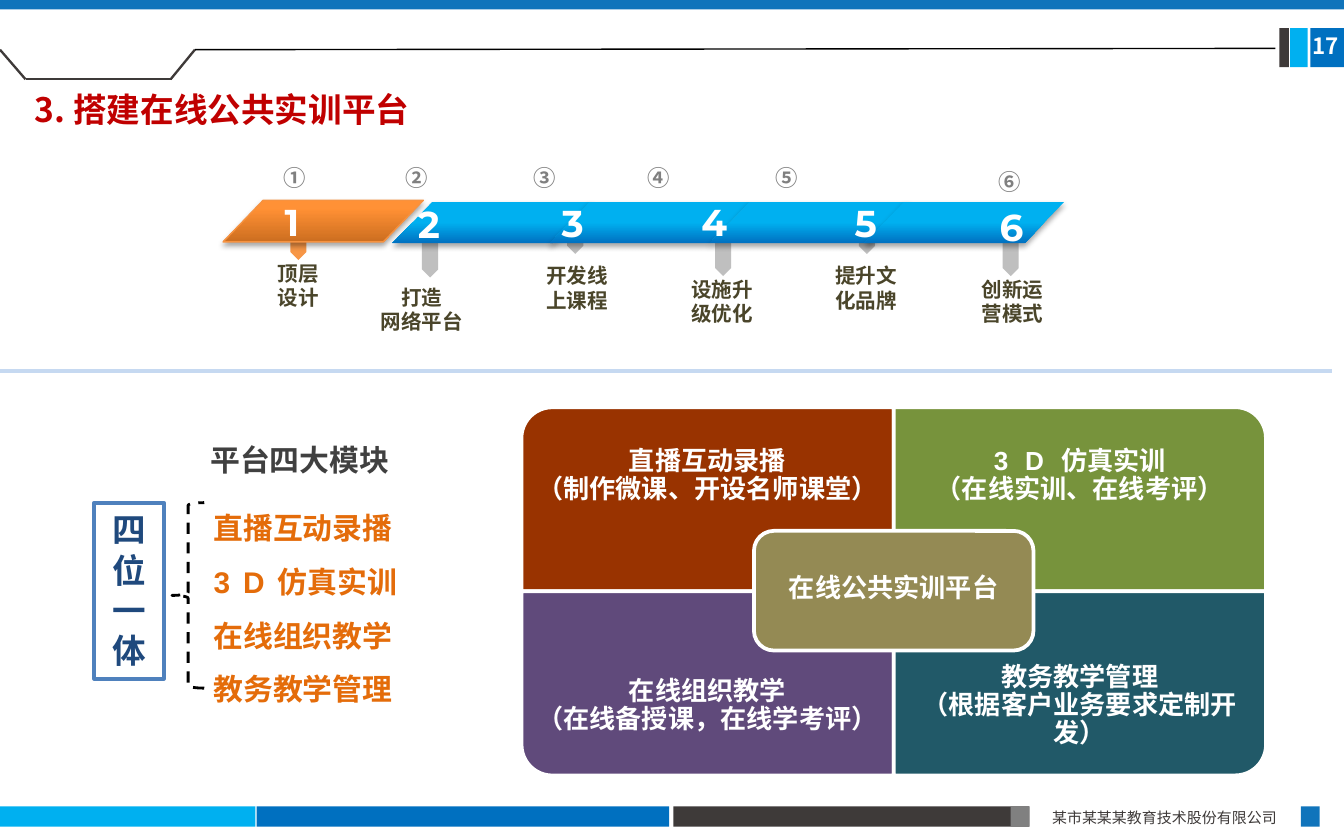
from pptx import Presentation
from pptx.dml.color import RGBColor
from pptx.enum import dml, shapes, text
from pptx.oxml import parse_xml
from pptx.oxml.ns import nsdecls, qn
from pptx.util import Inches, Pt

SHAPE = shapes.MSO_SHAPE
ALIGN = text.PP_ALIGN
CJK = "Noto Sans CJK SC"
ORANGE_BAR = [(0, "FF9136"), (20, "FF9034"), (100, "CC6E20")]
BLUE_BAR = [(0, "00B0F0"), (50, "00B0F0"), (100, "0070C0")]
THREE_D = [("3D", 9), ("仿真实训", 0)]


def color(value):
    """Return a colour from a hex string."""
    return RGBColor.from_string(value)


def inches(*values):
    """Return the values as lengths."""
    return [Inches(v) for v in values]


def add_box(slide, kind, at, fill=None, line=None, width=1, rotation=0):
    """Add a preset shape with a plain fill and line."""
    s = slide.shapes.add_shape(kind, *inches(*at))
    s.shadow.inherit = False
    s.rotation = rotation
    if fill:
        s.fill.solid()
        s.fill.fore_color.rgb = color(fill)
    else:
        s.fill.background()
    if line:
        s.line.color.rgb = color(line)
        s.line.width = Pt(width)
    else:
        s.line.fill.background()
    return s


def add_line(slide, start, end, stroke, width):
    """Add a straight line without a shadow."""
    c = slide.shapes.add_connector(
        shapes.MSO_CONNECTOR.STRAIGHT, *inches(*start, *end))
    c.line.color.rgb = color(stroke)
    c.line.width = Pt(width)
    c._element.spPr.append(parse_xml(f"<a:effectLst {nsdecls('a')}/>"))


def write(s, paragraphs, size, fill, font=CJK, bold=True, align=ALIGN.LEFT,
          spacing=None, inset=(0.1, 0.05), anchor=text.MSO_ANCHOR.TOP):
    """Fill a shape with paragraphs given as strings or lists of runs."""
    tf = s.text_frame
    tf.word_wrap = True
    tf.auto_size = text.MSO_AUTO_SIZE.NONE
    tf.vertical_anchor = anchor
    tf.margin_left = tf.margin_right = Inches(inset[0])
    tf.margin_top = tf.margin_bottom = Inches(inset[1])
    for i, runs in enumerate(paragraphs):
        p = tf.add_paragraph() if i else tf.paragraphs[0]
        p.alignment = align
        if spacing:
            p.line_spacing = spacing
        for words, gap in [(runs, 0)] if isinstance(runs, str) else runs:
            r = p.add_run()
            r.text = words
            r.font.size = Pt(size)
            r.font.bold = bold
            r.font.color.rgb = color(fill)
            r.font.name = font
            props = r.font._element
            props.find(qn("a:latin")).addnext(
                parse_xml(f'<a:ea {nsdecls("a")} typeface="{CJK}"/>'))
            if gap:
                props.set("spc", str(gap * 100))


def add_text(slide, at, paragraphs, size, fill, **style):
    """Add a text box."""
    write(slide.shapes.add_textbox(*inches(*at)), paragraphs, size, fill, **style)


def add_bar(slide, left, top, stops, line=None):
    """Add a slanted step bar with a gradient and a soft shadow."""
    s = add_box(slide, SHAPE.FLOWCHART_DATA, (left, top, 1.49, 0.31), line=line, width=0.75)
    s.fill.gradient()
    s.fill.gradient_angle = 270
    stop_list = s._element.spPr.find(qn("a:gradFill")).find(qn("a:gsLst"))
    for old in list(stop_list):
        stop_list.remove(old)
    for place, value in stops:
        stop_list.append(parse_xml(
            f'<a:gs {nsdecls("a")} pos="{place * 1000}"><a:srgbClr val="{value}"/></a:gs>'))
    s._element.spPr.find(qn("a:effectLst")).append(parse_xml(
        f'<a:outerShdw {nsdecls("a")} blurRad="{Pt(3.1)}" dist="{Pt(1.8)}" dir="5400000" '
        'rotWithShape="0"><a:srgbClr val="000000"><a:alpha val="35000"/></a:srgbClr>'
        '</a:outerShdw>'))


def add_frame(slide):
    """Add the header, the page number and the footer."""
    for at, fill in [
            ((0, 6, 1.9, 0.15), "00B0F0"), ((1.91, 6, 3.07, 0.15), "0070C0"),
            ((5.01, 6, 2.65, 0.15), "3E3A39"), ((7.52, 6, 0.14, 0.15), "808080"),
            ((9.68, 6, 0.14, 0.15), "1074BB"), ((9.75, 0.21, 0.26, 0.29), "0070C0"),
            ((9.6, 0.21, 0.13, 0.29), "00B0F0"), ((9.52, 0.21, 0.07, 0.29), "3E3A39"),
            ((0, 0, 10, 0.07), "1074BB")]:
        add_box(slide, SHAPE.RECTANGLE, at, fill)
    tab = [(0, 0.37), (0.19, 0.59), (1.27, 0.59), (1.45, 0.37)]
    for start, end in zip(tab, tab[1:]):
        add_line(slide, start, end, "3E3A39", 1.25)
    add_line(slide, tab[-1], (9.49, 0.36), "000000", 0.75)
    add_line(slide, (0, 2.76), (9.91, 2.76), "C6D9F1", 2.25)
    add_text(slide, (7.73, 5.97, 1.94, 0.24), ["某市某某某教育技术股份有限公司"], 8,
             "3E3A39", bold=False)
    add_text(slide, (9.67, 0.19, 0.5, 0.3), ["17"], 12, "FFFFFF")


def add_title(slide, words):
    """Place and format the title."""
    title = slide.shapes.title
    title.left, title.top, title.width, title.height = inches(0.16, 0.61, 3.06, 0.4)
    write(title, [words], 18, "C00000")


def add_steps(slide):
    """Add the six steps with their bars, pointers, numbers and labels."""
    steps = [
        ("①", 2.19, 1.17, 2.02, 1.43, 2.22, 1.83, 0.21, (1.96, 1.89, 0.52), ["顶层设计"]),
        ("②", 3.1, 1.17, 3.01, 1.45, 3.2, 1.9, 0.33, (2.73, 2.07, 0.82), ["打造", "网络平台"]),
        ("③", 4.05, 1.17, 4.08, 1.44, 4.28, 1.81, 0.16, (3.93, 1.91, 0.73), ["开发线上课程"]),
        ("④", 4.9, 1.17, 5.12, 1.43, 5.38, 1.89, 0.33, (5.01, 2.01, 0.73), ["设施升级优化"]),
        ("⑤", 5.85, 1.17, 6.26, 1.44, 6.45, 1.81, 0.16, (6.08, 1.91, 0.73), ["提升文化品牌"]),
        ("⑥", 7.51, 1.2, 7.34, 1.47, 7.52, 1.89, 0.33, (7.17, 2.01, 0.73), ["创新运营模式"])]
    for i, (_, _, _, _, _, x, y, length, _, _) in enumerate(steps):
        add_box(slide, SHAPE.CHEVRON, (x - length / 2, y - 0.06, length, 0.12),
                "BFBFBF" if i else "F79646", rotation=90)
    add_bar(slide, 1.66, 1.49, ORANGE_BAR, "F69240")
    for left in (2.92, 4.09, 5.28, 6.43):
        add_bar(slide, left, 1.5, BLUE_BAR)
    for i, (mark, mark_x, mark_y, x, y, _, _, _, at, label) in enumerate(steps, 1):
        add_text(slide, (mark_x - 0.19, mark_y, 0.38, 0.3), [mark], 12, "808080",
                 align=ALIGN.CENTER)
        add_text(slide, (x, y, 0.42, 0.44), [str(i)], 20, "FFFFFF", font="Montserrat")
        add_text(slide, (*at, 0.47), label, 11, "4A452A", align=ALIGN.CENTER)


def add_modules(slide):
    """Add the list of the four modules with its brace."""
    add_text(slide, (1.51, 3.62, 1.89, 1.69),
             ["直播互动录播", THREE_D_LIST, "在线组织教学", "教务教学管理"],
             16, "E46C0A", font="Arial", spacing=1.5, inset=(0.08, 0.04))
    s = add_box(slide, SHAPE.RECTANGLE, (0.7, 3.74, 0.52, 1.31), "FFFFFF", "4F81BD", 2)
    write(s, ["四位一体"], 18, "1F497D", align=ALIGN.CENTER, inset=(0.09, 0.05))
    brace = add_box(slide, SHAPE.LEFT_BRACE, (1.28, 3.74, 0.24, 1.38), None, "000000", 1.5)
    brace.line.dash_style = dml.MSO_LINE.DASH
    add_text(slide, (1.37, 3.11, 1.72, 0.48), ["平台四大模块"], 16, "404040",
             align=ALIGN.CENTER, spacing=1.5, inset=(0.08, 0.04))


def add_quadrants(slide):
    """Add the four quadrants around the platform box."""
    left, top, width, height, text_height = 3.88, 3.03, 2.77, 1.37, 1.03
    quadrants = [
        (270, "993300", ["直播互动录播", "（制作微课、开设名师课堂）"]),
        (0, "77933C", [THREE_D, "（在线实训、在线考评）"]),
        (180, "604A7B", ["在线组织教学", "（在线备授课，在线学考评）"]),
        (90, "215968", ["教务教学管理", "（根据客户业务要求定制开发）"])]
    style = dict(align=ALIGN.CENTER, anchor=text.MSO_ANCHOR.MIDDLE)
    for i, (rotation, fill, words) in enumerate(quadrants):
        row, col = divmod(i, 2)
        x, y = left + col * width, top + row * height
        w, h = (height, width) if rotation % 180 else (width, height)
        at = (x + (width - w) / 2, y + (height - h) / 2, w, h)
        add_box(slide, SHAPE.ROUND_1_RECTANGLE, at, fill, "FFFFFF", 2, rotation)
        add_text(slide, (x, y + row * (height - text_height), width, text_height), words,
                 14, "FFFFFF", font="Arial", spacing=0.9, inset=(0.11, 0.11), **style)
    s = add_box(slide, SHAPE.ROUNDED_RECTANGLE, (5.61, 3.95, 2.08, 0.89), "948A54", "FFFFFF", 2)
    write(s, ["在线公共实训平台"], 14, "FFFFFF", spacing=0.7, inset=(0.06, 0.06), **style)


THREE_D_LIST = [("3D", 7), THREE_D[1]]


def main():
    """Build the slide and save it."""
    prs = Presentation()
    prs.slide_width, prs.slide_height = inches(10, 6.25)
    slide = prs.slides.add_slide(prs.slide_layouts[5])
    add_frame(slide)
    add_title(slide, "3. 搭建在线公共实训平台")
    add_quadrants(slide)
    add_modules(slide)
    add_steps(slide)
    prs.save("out.pptx")


if __name__ == "__main__":
    main()
